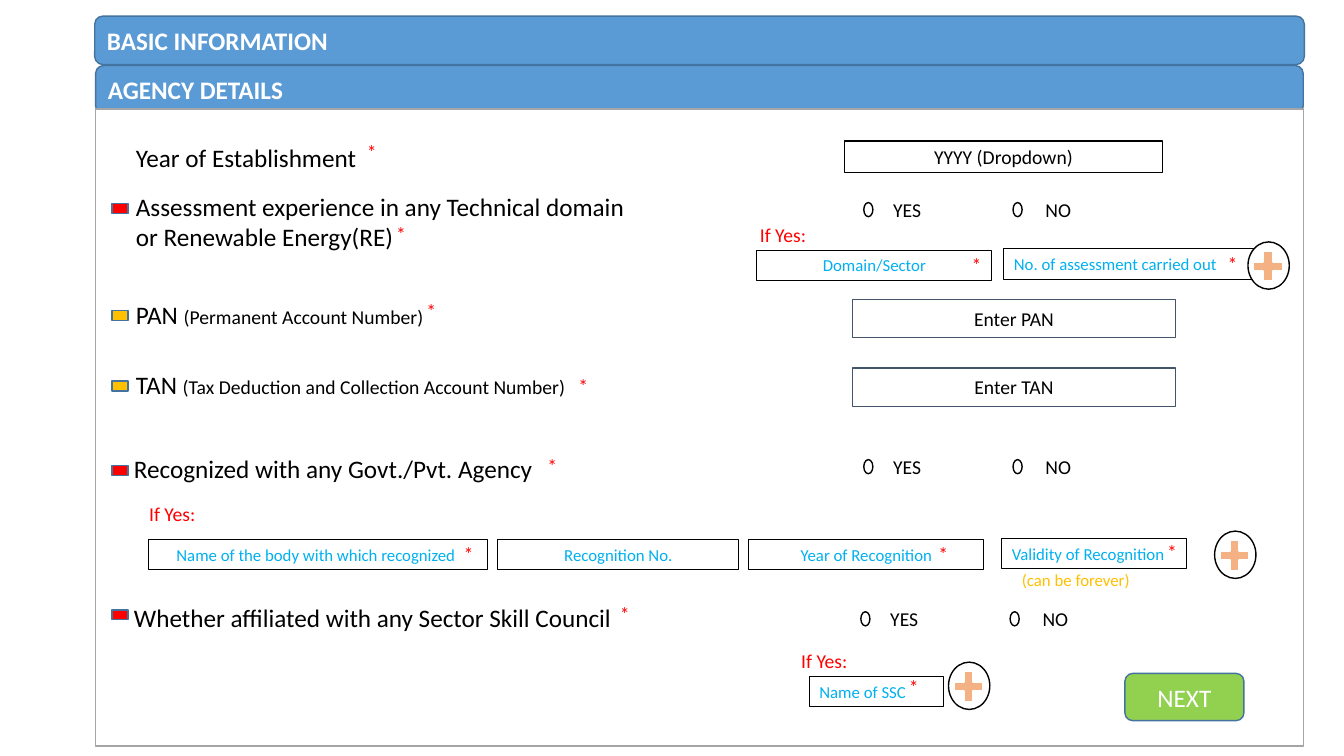
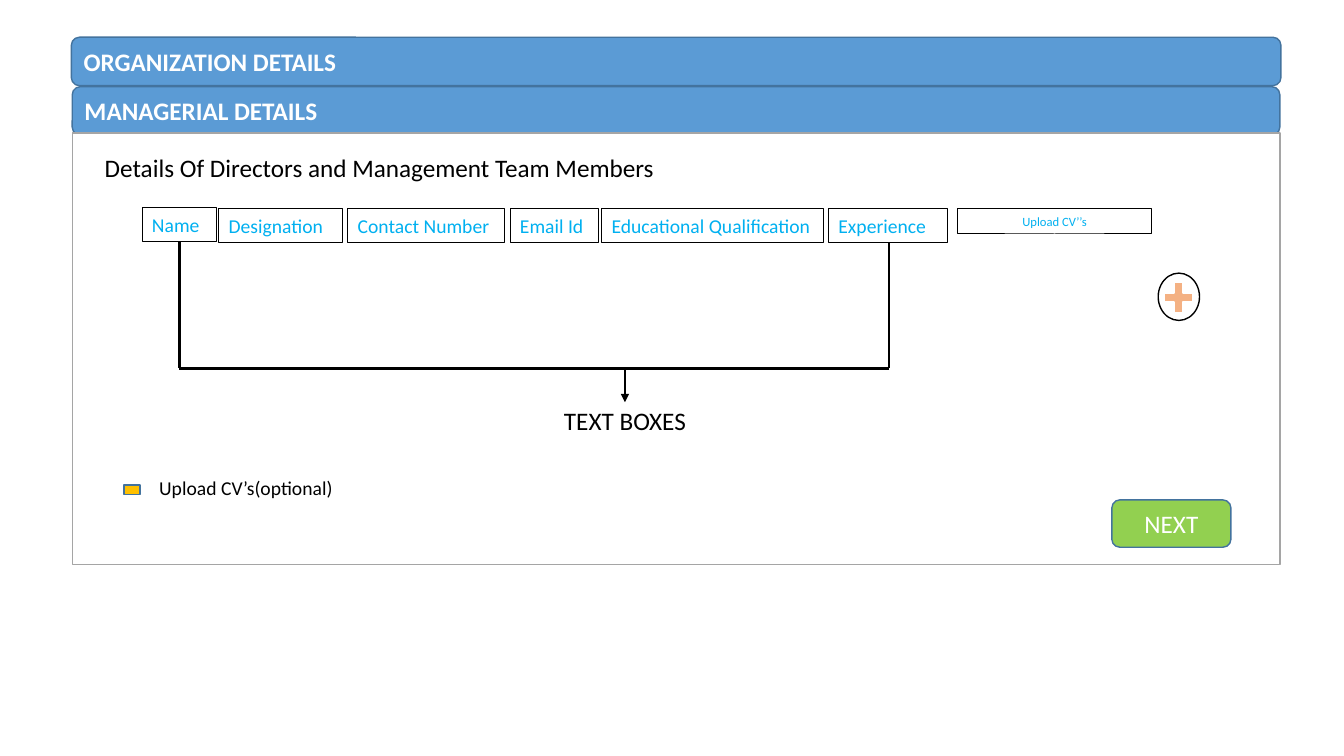
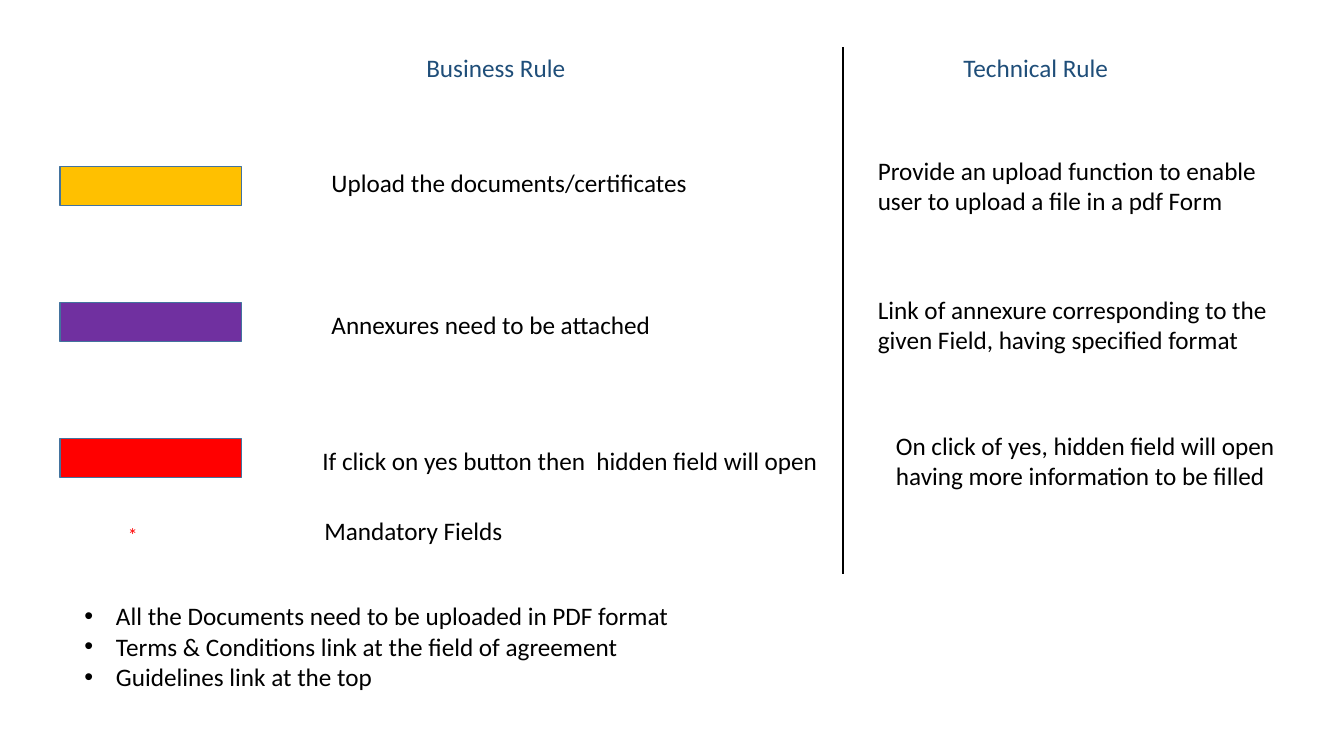
from lxml import etree
from pptx import Presentation, util as u
from pptx.dml.color import RGBColor
from pptx.enum import shapes, text
from pptx.oxml.ns import qn

Pt = u.Pt
SHAPE = shapes.MSO_SHAPE
ALIGN = text.PP_ALIGN
LEFT, CENTER = ALIGN.LEFT, ALIGN.CENTER

FONT = "Calibri"
BLACK, WHITE, GREY, SLATE = "000000", "FFFFFF", "A5A5A5", "44546A"
BLUE, EDGE, NAVY, CYAN = "5B9BD5", "43739E", "1F4E79", "00B0F0"
RED, AMBER, PURPLE, GREEN, PEACH = "FF0000", "FFC000", "7030A0", "92D050", "F4B183"


def rgb(value):
    """Turn a hex string into a colour."""
    return RGBColor.from_string(value)


def text_height(size, lines=1):
    """Height of a text frame that holds the given number of lines."""
    return round(1.22 * size * lines + 7.2, 1)


class Deck:
    """Holds the presentation, its style and the current slide."""

    def __init__(self):
        """Start an empty widescreen presentation."""
        self.prs = Presentation()
        self.prs.slide_width, self.prs.slide_height = Pt(960), Pt(540)
        self.s = None

    def slide(self):
        """Add a blank slide and make it current."""
        self.s = self.prs.slides.add_slide(self.prs.slide_layouts[6])

    def style(self, tf, size, colour, align=LEFT, bold=False):
        """Format every run of a text frame."""
        for p in tf.paragraphs:
            p.alignment = align
            for r in p.runs:
                r.font.name, r.font.size, r.font.bold = FONT, Pt(size), bold
                r.font.color.rgb = rgb(colour)

    def shape(self, kind, x, y, w, h, fill=None, line=BLACK, weight=1):
        """Draw a preset shape without shadow."""
        sp = self.s.shapes.add_shape(kind, Pt(x), Pt(y), Pt(w), Pt(h))
        sp.shadow.inherit = False
        if fill:
            sp.fill.solid()
            sp.fill.fore_color.rgb = rgb(fill)
        else:
            sp.fill.background()
        sp.line.color.rgb = rgb(line)
        sp.line.width = Pt(weight)
        return sp

    def caption(self, sp, words, size, colour, align=CENTER, bold=False):
        """Write vertically centred text in a shape."""
        tf = sp.text_frame
        tf.text = words
        tf.vertical_anchor = text.MSO_ANCHOR.MIDDLE
        self.style(tf, size, colour, align, bold)

    def label(self, x, y, w, words, size=18, colour=BLACK, align=LEFT,
              lines=1, note=None, wrap=True):
        """Add a text box, with an optional smaller note after the words."""
        sp = self.s.shapes.add_textbox(Pt(x), Pt(y), Pt(w), Pt(text_height(size, lines)))
        tf = sp.text_frame
        tf.text = words
        tf.word_wrap = wrap
        tf.auto_size = text.MSO_AUTO_SIZE.SHAPE_TO_FIT_TEXT
        self.style(tf, size, colour, align)
        if note:
            r = tf.paragraphs[0].add_run()
            r.text = note
            r.font.name, r.font.size = FONT, Pt(14)
            r.font.color.rgb = rgb(colour)
        return tf

    def bullets(self, x, y, w, items):
        """Add a bulleted list."""
        tf = self.label(x, y, w, "\n".join(items), lines=len(items), wrap=False)
        for p in tf.paragraphs:
            pPr = p._p.get_or_add_pPr()
            pPr.set("marL", str(Pt(22.5)))
            pPr.set("indent", str(-Pt(22.5)))
            etree.SubElement(pPr, qn("a:buFont")).set("typeface", "Arial")
            etree.SubElement(pPr, qn("a:buChar")).set("char", "•")

    def field(self, x, y, w, words, size=12, align=LEFT):
        """Draw a thin outlined form field with a cyan prompt."""
        sp = self.shape(SHAPE.RECTANGLE, x, y, w, text_height(size), weight=0.75)
        self.caption(sp, words, size, CYAN, align)
        sp.text_frame.vertical_anchor = text.MSO_ANCHOR.TOP
        sp.text_frame.auto_size = text.MSO_AUTO_SIZE.SHAPE_TO_FIT_TEXT

    def entry(self, x, y, w, h, words, line=SLATE):
        """Draw an input box with a centred black prompt."""
        sp = self.shape(SHAPE.RECTANGLE, x, y, w, h, line=line)
        self.caption(sp, words, 14, BLACK)

    def star(self, x, y):
        """Mark a field as mandatory."""
        self.label(x, y, 46.8, "*", 14, RED)

    def if_yes(self, x, y):
        """Introduce the fields that open on yes."""
        self.label(x, y, 56.2, "If Yes:", 14, RED, lines=2)

    def marker(self, x, y, colour, w=15.8, h=30.2):
        """Draw a coloured bar that points to a rule."""
        self.shape(SHAPE.MATH_MINUS, x, y, w, h, colour, EDGE)

    def yes_no(self, x, y):
        """Draw a pair of radio buttons."""
        for i in range(2):
            self.shape(SHAPE.OVAL, x + 106.6 * i, y, 6.5, 10.1)
        for i, word in enumerate(("YES", "NO")):
            self.label(x - 77 + 108 * i, y - 7.2, 216, word, 14, align=CENTER)

    def add_button(self, x, y):
        """Draw a round button with a plus."""
        self.shape(SHAPE.OVAL, x, y, 29.5, 33.8, WHITE)
        self.shape(SHAPE.MATH_PLUS, x, y + 2.6, 28.8, 29.5, PEACH, WHITE, 1.5)

    def next_button(self, x, y):
        """Draw the green button that leads on."""
        sp = self.shape(SHAPE.ROUNDED_RECTANGLE, x, y, 85, 33.8, GREEN, EDGE)
        self.caption(sp, "NEXT", 18, WHITE)

    def form(self, x, y, section, title, panel_y, panel_h):
        """Draw the two heading bands and the panel below them."""
        def band(left, top, w, words):
            """Draw one heading band."""
            sp = self.shape(SHAPE.ROUNDED_RECTANGLE, left, top, w, 34.6, BLUE, EDGE)
            self.caption(sp, words, 18, WHITE, LEFT, True)

        band(x + 0.6, y + 35.3, 862.6, title)
        self.shape(SHAPE.RECTANGLE, x + 0.7, panel_y, 862.6, panel_h, WHITE, GREY)
        band(x, y, 864, section)

    def line(self, x1, y1, x2, y2, arrow=False):
        """Draw a straight line, with an arrowhead at its end if asked."""
        sp = self.s.shapes.add_connector(shapes.MSO_CONNECTOR.STRAIGHT,
                                         Pt(x1), Pt(y1), Pt(x2), Pt(y2))
        sp.line.color.rgb = rgb(BLACK)
        sp.line.width = Pt(1.5)
        spPr = sp._element.spPr
        if arrow:
            etree.SubElement(spPr.find(qn("a:ln")), qn("a:tailEnd")).set("type", "triangle")
        etree.SubElement(spPr, qn("a:effectLst"))


def agency_slide(d):
    """Build the form for agency details."""
    d.slide()
    d.form(67.7, 11.5, "BASIC INFORMATION", "AGENCY DETAILS", 77.8, 455)
    d.label(90, 97.9, 339, "Year of Establishment")
    d.label(90, 133.2, 376.6,
            "Assessment experience in any Technical domain or Renewable Energy(RE) ", lines=2)
    d.label(90, 210.2, 339, "PAN\u00a0", note="(Permanent Account Number)")
    d.label(90, 260.6, 407.5, "TAN\u00a0", note="(Tax Deduction and Collection Account Number)")
    d.label(88.6, 320.4, 407.5, "Recognized with any Govt./Pvt. Agency")
    d.label(88.6, 427, 407.5, "Whether affiliated with any Sector Skill Council")

    d.entry(603.4, 100.8, 226.8, 22.3, "YYYY (Dropdown)", BLACK)
    d.entry(609.1, 213.8, 230.4, 27.4, "Enter PAN")
    d.entry(609.1, 262.8, 230.4, 27.4, "Enter TAN")

    for y, colour in ((133.9, RED), (210.2, AMBER), (260.6, AMBER),
                      (321.1, RED), (424.1, RED)):
        d.marker(77.8, y, colour)
    for x, y in ((617, 144.7), (617, 328.3), (614.9, 437)):
        d.yes_no(x, y)
    for x, y in ((535.7, 155.5), (99.4, 355), (565.2, 460.1)):
        d.if_yes(x, y)

    d.field(540.7, 178.6, 167.8, "Domain/Sector", align=CENTER)
    d.field(717.1, 177.8, 181.4, "No. of assessment carried out")
    d.field(105.8, 385.2, 242.6, "Name of the body with which recognized\u00a0", align=CENTER)
    d.field(355.7, 385.2, 172.1, "Recognition No.", align=CENTER)
    d.field(535, 385.2, 167.8, "Year of Recognition", align=CENTER)
    d.field(715.7, 384.5, 131.8, "Validity of Recognition")
    d.field(578.2, 483.1, 95.8, "Name of SSC")
    d.label(722.9, 403.2, 160.6, "(can be forever)", 12, AMBER)

    for x, y in ((891.4, 172.8), (867.6, 379.4), (677.5, 473)):
        d.add_button(x, y)
    for x, y in ((254.9, 96.5), (275.8, 154.8), (686.9, 177.1), (869.8, 176.4),
                 (297.4, 210.2), (406.1, 263.5), (383.8, 320.4), (324, 383.8),
                 (663.1, 383.8), (826.6, 382.3), (435.6, 426.2), (642.2, 478.8)):
        d.star(x, y)
    d.next_button(803.5, 481)


def managerial_slide(d):
    """Build the form for managerial details."""
    d.slide()
    d.form(51, 26.6, "ORGANIZATION DETAILS", "MANAGERIAL DETAILS", 95, 308.2)
    d.label(67.7, 105.1, 442.8, "Details Of Directors and Management Team Members")
    d.field(101.5, 148.3, 52.9, "Name\u00a0", 14)
    for x, w, words in ((156.2, 88.6, "Designation"), (248.4, 111.8, "Contact Number"),
                        (364.3, 63, "Email Id"), (429.8, 158.4, "Educational Qualification"),
                        (591.8, 85, "Experience")):
        d.field(x, 149, w, words, 14)
    d.field(684, 149, 138.5, "Upload CV’’s", 9, CENTER)

    left, right, bottom = 128.2, 635, 263.2
    d.line(left, 172.8, left, bottom)
    d.line(left, bottom, right, bottom)
    d.line(right, 173.5, right, bottom)
    d.line(446.4, bottom, 446.4, 287.3, arrow=True)
    d.label(338.4, 285.8, 216, "TEXT BOXES", align=CENTER)

    d.marker(86.4, 334.8, AMBER)
    d.label(106.6, 336.2, 144.7, "Upload CV’s(optional)", 14, lines=2)
    d.add_button(827.3, 195.1)
    d.next_button(794.2, 357.1)


def rules_slide(d):
    """Build the legend of business and technical rules."""
    d.slide()
    d.label(297.4, 33.8, 135.4, "Business Rule", colour=NAVY)
    d.label(681.1, 33.8, 135.4, "Technical Rule", colour=NAVY)
    d.line(601.9, 33.8, 601.9, 409.7)

    for i, colour in enumerate((AMBER, PURPLE, RED)):
        d.marker(19.4, 73.4 + 97.2 * i, colour, 176.4, 118.8)
    d.label(229.7, 115.9, 279.4, "Upload the documents/certificates")
    d.label(229.7, 217.4, 249.1, "Annexures need to be attached")
    d.label(223.2, 314.6, 372.2, "If click on yes button then  hidden field will open")
    d.star(84.2, 370.1)
    d.label(224.6, 364.3, 372.2, "Mandatory Fields")

    for x, y, w, words in (
            (619.9, 107.3, 308.2,
             "Provide an upload function to enable user to upload a file in a pdf Form"),
            (619.9, 206.6, 301,
             "Link of annexure corresponding to the given Field, having specified format"),
            (632.9, 303.8, 295.2,
             "On click of yes, hidden field will open having more information to be filled")):
        d.label(x, y, w, words, lines=2)
    d.bullets(53.3, 425.5, 437, ("All the Documents need to be uploaded in PDF format",
                                 "Terms & Conditions link at the field of agreement",
                                 "Guidelines link at the top"))


deck = Deck()
agency_slide(deck)
managerial_slide(deck)
rules_slide(deck)
deck.prs.save("out.pptx")
